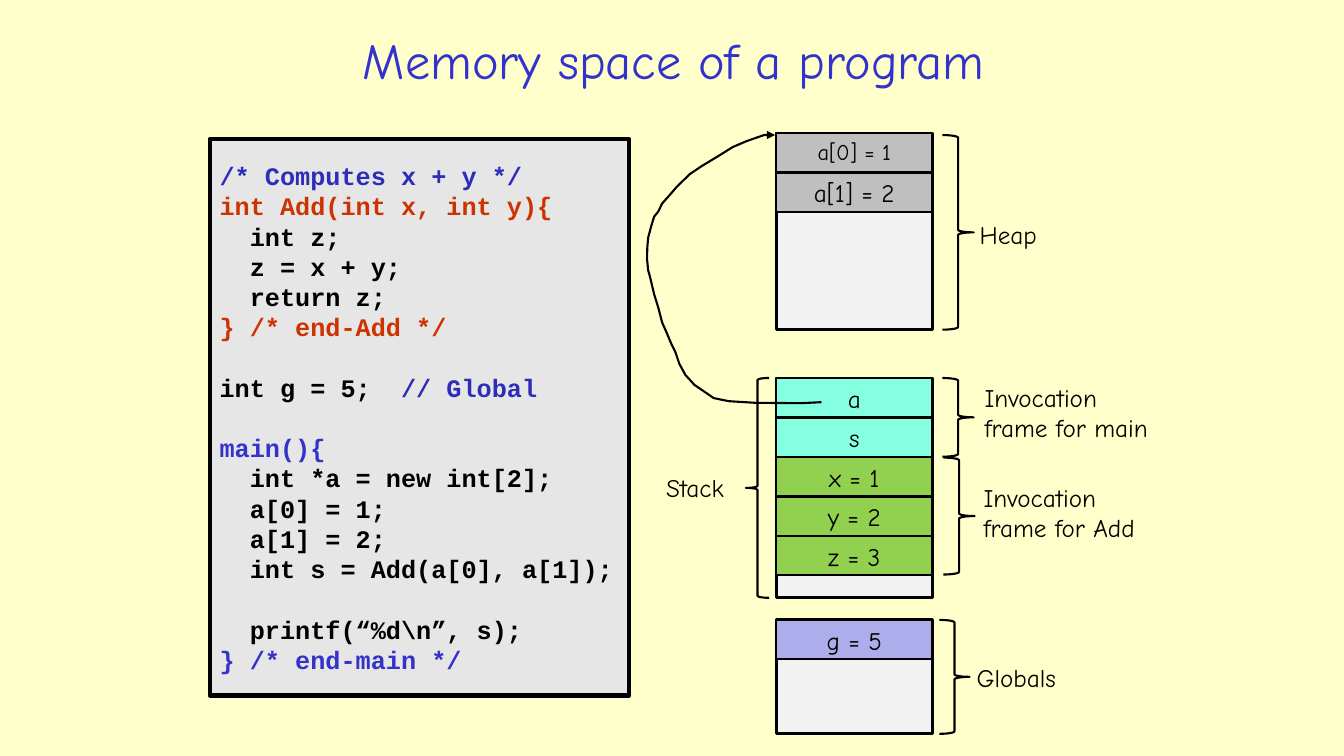
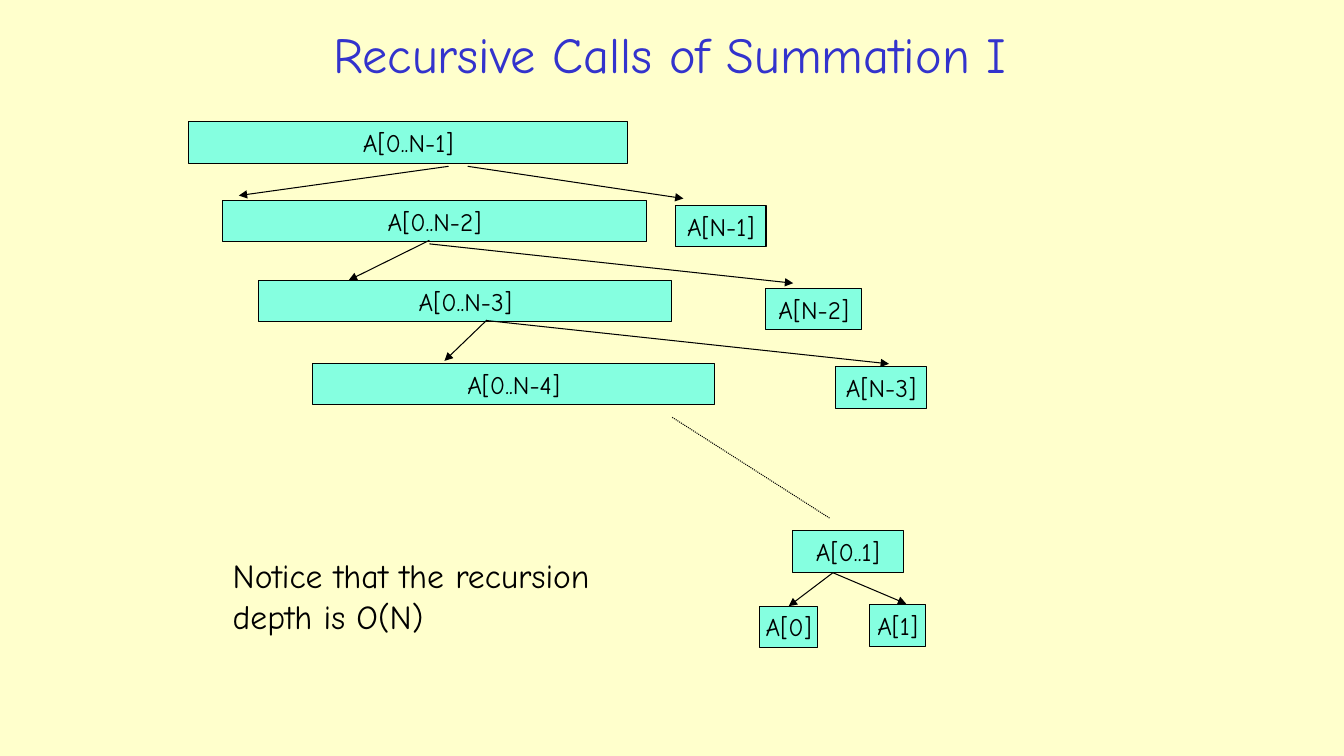
from lxml import etree
from pptx import Presentation
from pptx.dml.color import RGBColor
from pptx.enum.dml import MSO_LINE
from pptx.enum.shapes import MSO_CONNECTOR, MSO_SHAPE
from pptx.enum.text import MSO_ANCHOR, PP_ALIGN
from pptx.oxml.ns import qn
from pptx.util import Pt

RECTANGLE = MSO_SHAPE.RECTANGLE
LEFT_BRACE, RIGHT_BRACE = MSO_SHAPE.LEFT_BRACE, MSO_SHAPE.RIGHT_BRACE
STRAIGHT = MSO_CONNECTOR.STRAIGHT
DOTTED = MSO_LINE.ROUND_DOT
LEFT, CENTER = PP_ALIGN.LEFT, PP_ALIGN.CENTER
TOP, MIDDLE = MSO_ANCHOR.TOP, MSO_ANCHOR.MIDDLE
TOP_SIDE = 0

TEXT_FONT, CODE_FONT = "Comic Neue", "Courier New"
CREAM, BLACK, BLUE, NAVY, RED = "FFFFCC", "000000", "3333CC", "2D2DB9", "CC3300"
PALE, CODE_GRAY, GRAY = "F2F2F2", "E6E6E6", "BFBFBF"
AQUA, GREEN, LILAC = "85FFE0", "92D050", "ADADEB"

color = RGBColor.from_string


def add_outlined(page, kind, place, fill, weight):
    """Add a black-outlined preset shape; a fill of None leaves it open."""
    shape = page.shapes.add_shape(kind, *map(Pt, place))
    shape.shadow.inherit = False
    if fill:
        shape.fill.solid()
        shape.fill.fore_color.rgb = color(fill)
    else:
        shape.fill.background()
    shape.line.color.rgb = color(BLACK)
    shape.line.width = Pt(weight)
    return shape


def write(box, text, size=18, align=LEFT, anchor=TOP, ink=BLACK, wrap=True):
    frame = box.text_frame
    frame.word_wrap = wrap
    frame.vertical_anchor = anchor
    para = frame.paragraphs[0]
    para.text = text
    para.alignment = align
    para.font.name = TEXT_FONT
    para.font.size = Pt(size)
    para.font.color.rgb = color(ink)


deck = Presentation()
deck.slide_width, deck.slide_height = Pt(960), Pt(540)
background = deck.slide_master.background.fill
background.solid()
background.fore_color.rgb = color(CREAM)

pages = []
for title, place in [
    ("Memory space of a program", (136.8, 17.3, 689, 50.4)),
    ("Recursive Calls of Summation I", (142.6, 10.8, 671.8, 54.7)),
]:
    page = deck.slides.add_slide(deck.slide_layouts[6])
    write(page.shapes.add_textbox(*map(Pt, place)), title, 36, CENTER, MIDDLE, BLUE)
    pages.append(page)
memory_page, tree_page = pages
arrows = []

# Memory space: program listing; an empty list is a gap between blocks of code
code_lines = [
    [("/* Computes x + y */", NAVY)],
    [("int Add(int x, int y){", RED)],
    [("  int z;", BLACK)],
    [("  z = x + y;", BLACK)],
    [("  return z;", BLACK)],
    [("} /* end-Add */", RED)],
    [],
    [("int g = 5;  ", BLACK), ("// Global", NAVY)],
    [],
    [("main(){", BLUE)],
    [("  int *a = new int[2];", BLACK)],
    [("  a[0] = 1;", BLACK)],
    [("  a[1] = 2;", BLACK)],
    [("  int s = Add(a[0], a[1]);", BLACK)],
    [],
    [("  printf(“%d\\n”, s);", BLACK)],
    [("} /* end-main */", BLUE)],
]
CODE_LINE = 21.6
code_box = add_outlined(memory_page, RECTANGLE, (149.8, 99.4, 299.5, 397.4), CODE_GRAY, 3)
code_frame = code_box.text_frame
code_frame.word_wrap = False
code_frame.vertical_anchor = MIDDLE
para = code_frame.paragraphs[0]
gap = 0
for number, spans in enumerate(code_lines):
    if not spans:
        gap = CODE_LINE
        continue
    if number:
        para = code_frame.add_paragraph()
    para.alignment = LEFT
    para.line_spacing = Pt(CODE_LINE)
    para.space_before = Pt(gap)
    para.font.name = CODE_FONT
    para.font.size = Pt(18)
    para.font.bold = True
    for text, ink in spans:
        span = para.add_run()
        span.text = text
        span.font.color.rgb = color(ink)
    gap = 0

# Memory regions, each filled from the top with equal cells
COLUMN_LEFT, COLUMN_WIDTH, CELL_HEIGHT = 554.4, 111.6, 28.2
regions = [
    (95, 140.4, [("a[0] = 1", GRAY, 16), ("a[1] = 2", GRAY, 18)]),
    (270, 157, [("a", AQUA, 18), ("s", AQUA, 18), ("x = 1", GREEN, 18),
                ("y = 2", GREEN, 18), ("z = 3", GREEN, 18)]),
    (442.8, 81.4, [("g = 5", LILAC, 18)]),
]
for top, height, cells in regions:
    add_outlined(memory_page, RECTANGLE, (COLUMN_LEFT, top, COLUMN_WIDTH, height), PALE, 2)
    for row, (text, fill, size) in enumerate(cells):
        place = (COLUMN_LEFT, top + row * CELL_HEIGHT, COLUMN_WIDTH, CELL_HEIGHT)
        write(add_outlined(memory_page, RECTANGLE, place, fill, 1.5), text, size, CENTER)

for kind, brace_place, text, label_place in [
    (RIGHT_BRACE, (673.2, 96.5, 22.3, 139), "Heap", (692.6, 153.4, 62, 28.8)),
    (LEFT_BRACE, (532.8, 270, 16.6, 157), "Stack", (468.7, 334.1, 81.4, 28.8)),
    (RIGHT_BRACE, (673.2, 270, 22.3, 56.2), "Invocation frame for main", (696.2, 269.3, 144, 51.1)),
    (RIGHT_BRACE, (673.9, 326.9, 22.3, 83.5), "Invocation frame for Add", (695.5, 340.6, 144, 51.1)),
    (RIGHT_BRACE, (671, 442.8, 21.6, 81.4), "Globals", (690.5, 469.4, 81.4, 28.8)),
]:
    add_outlined(memory_page, kind, brace_place, None, 1.5)
    write(memory_page.shapes.add_textbox(*map(Pt, label_place)), text)

# Pointer from a on the stack to the array on the heap
pointer_points = [
    (586.8, 287.3), (572.4, 288), (540, 287.8), (520.6, 286.6), (509.8, 284.4),
    (502.6, 279.4), (496.1, 275), (489.6, 267.8), (485.3, 259.9), (482.4, 251.3),
    (479.5, 245.5), (475.9, 236.9), (473, 230.4), (470.2, 219.6), (467.3, 210.2),
    (464.4, 198), (463, 193), (462.2, 185), (462.4, 177), (463, 169.9),
    (465.1, 162), (467.3, 154.8), (470.2, 151.2), (473, 145.4), (478.1, 139.7),
    (483.1, 133.9), (492.5, 124.6), (501.1, 118.8), (514.1, 110.9), (523.4, 105.1),
    (533.5, 100.8), (545.8, 96.5), (553.7, 96.5),
]
start, *rest = [(Pt(x), Pt(y)) for x, y in pointer_points]
builder = memory_page.shapes.build_freeform(*start)
builder.add_line_segments(rest, close=False)
pointer = builder.convert_to_shape()
pointer.shadow.inherit = False
pointer.fill.background()
pointer.line.color.rgb = color(BLACK)
pointer.line.width = Pt(1.5)
arrows.append(pointer)

# Recursive calls: left, top and width of each node
NODE_HEIGHT = 29.5
nodes = {}
for text, left, top, width in [
    ("A[0..N-1]", 134.6, 87.1, 313.9),
    ("A[0..N-2]", 158.8, 143.3, 303.1),
    ("A[N-1]", 482.4, 146.9, 64.8),
    ("A[0..N-3]", 184.8, 200.5, 295.2),
    ("A[N-2]", 547, 206.2, 68.4),
    ("A[0..N-4]", 223.2, 259.6, 287.3),
    ("A[N-3]", 596.9, 262, 64.8),
    ("A[0..1]", 566, 379.1, 79.2),
    ("A[0]", 542.5, 433, 41.8),
    ("A[1]", 621.4, 432, 39.6),
]:
    node = add_outlined(tree_page, RECTANGLE, (left, top, width, NODE_HEIGHT), AQUA, 0.75)
    write(node, text, 18, CENTER, MIDDLE, wrap=False)
    nodes[text] = node

for ends, target, dotted in [
    ((320.4, 118.8, 170.6, 139.7), None, False),
    ((334.1, 118.8, 488.2, 141.8), None, False),
    ((306.7, 171.7, 249.1, 200.2), None, False),
    ((306.7, 174.2, 566.6, 202.3), None, False),
    ((347.8, 228.6, 317.5, 257.8), None, False),
    ((347.8, 229, 635, 259.9), None, False),
    ((594.7, 409.3, 562.3, 433), "A[0]", False),
    ((594.7, 409, 647.3, 431.3), None, False),
    ((480.2, 298.1, 592.6, 370.1), None, True),
]:
    line = tree_page.shapes.add_connector(STRAIGHT, *map(Pt, ends))
    etree.SubElement(line._element.spPr, qn("a:effectLst"))
    line.line.color.rgb = color(BLACK)
    line.line.width = Pt(0.75)
    if target:
        line.end_connect(nodes[target], TOP_SIDE)
    if dotted:
        line.line.dash_style = DOTTED
    else:
        arrows.append(line)

note = tree_page.shapes.add_textbox(Pt(159.1), Pt(393.1), Pt(303.1), Pt(65.5))
write(note, "Notice that the recursion depth is O(N)", 24)

for arrow in arrows:
    outline = arrow._element.spPr.find(qn("a:ln"))
    etree.SubElement(outline, qn("a:tailEnd"), type="triangle")

deck.save("out.pptx")
